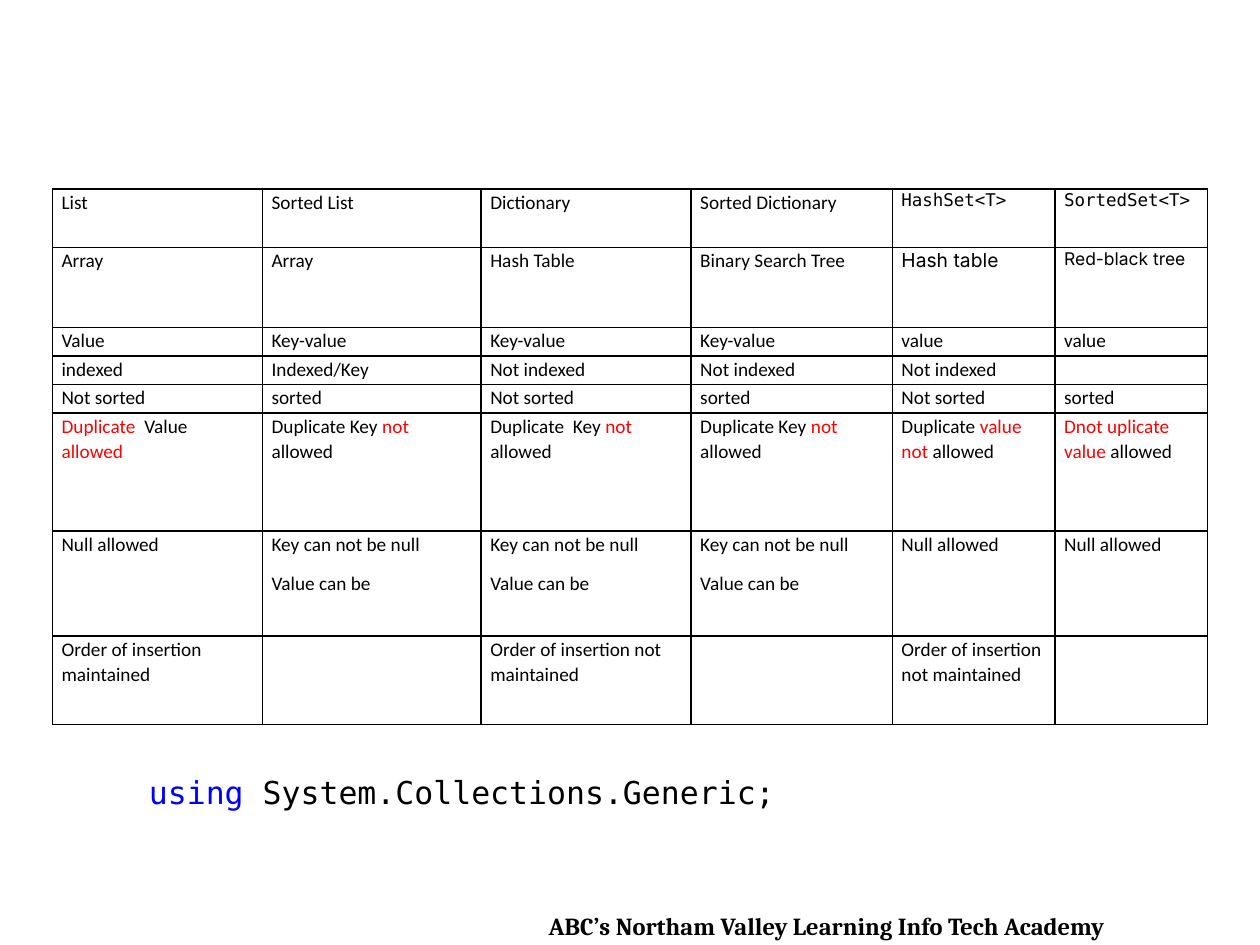
"""Build a slide that compares the generic collection types in a table."""
from lxml.etree import SubElement
from pptx import Presentation
from pptx.dml.color import RGBColor
from pptx.enum.text import PP_ALIGN
from pptx.oxml.ns import qn
from pptx.util import Pt


def add_span(para, text, font="Calibri", size=11, color="000000", bold=False):
    span = para.add_run()
    span.text = text
    span.font.name = font
    span.font.size = Pt(size)
    span.font.bold = bold
    span.font.color.rgb = RGBColor.from_string(color)


def add_border(cell, side):
    line = SubElement(cell._tc.get_or_add_tcPr(), qn(f"a:{side}"), w=str(Pt(1)))
    SubElement(SubElement(line, qn("a:solidFill")), qn("a:srgbClr"), val="000000")


MONO = "DejaVu Sans Mono"
COLUMN_WIDTHS = [120, 125, 120, 115, 93, 87]
ROW_HEIGHTS = [33.5, 45.7, 16.3, 16.3, 16.3, 67.5, 60, 50.5]
KEY_NULLS = "Key can not be null\nValue can be"
SPECIAL_FONTS = {
    (0, 4): {"font": MONO, "size": 10},
    (0, 5): {"font": MONO, "size": 10},
    (1, 4): {"font": "Inter"},
    (1, 5): {"font": "Inter", "size": 10},
}
# Text between bars is red.
ROWS = [
    ["List", "Sorted List", "Dictionary", "Sorted Dictionary", "HashSet<T>", "SortedSet<T>"],
    ["Array", "Array", "Hash Table", "Binary Search Tree", "Hash table", "Red-black tree"],
    ["Value", "Key-value", "Key-value", "Key-value", "value", "value"],
    ["indexed", "Indexed/Key", "Not indexed", "Not indexed", "Not indexed", ""],
    ["Not sorted", "sorted", "Not sorted", "sorted", "Not sorted", "sorted"],
    ["|Duplicate | Value |allowed|", "Duplicate Key |not |allowed",
     "Duplicate  Key |not| allowed", "Duplicate Key| not| allowed",
     "Duplicate |value not| allowed", "|Dnot uplicate value |allowed"],
    ["Null allowed", KEY_NULLS, KEY_NULLS, KEY_NULLS, "Null allowed", "Null allowed"],
    ["Order of insertion maintained", "", "Order of insertion not maintained", "",
     "Order of insertion not maintained", ""],
]

deck = Presentation()
deck.slide_width, deck.slide_height = Pt(720), Pt(540)
page = deck.slides.add_slide(deck.slide_layouts[6])

footer = page.shapes.add_textbox(Pt(-6), Pt(517), Pt(960), Pt(24.5)).text_frame
footer.word_wrap = True
footer.paragraphs[0].alignment = PP_ALIGN.CENTER
add_span(footer.paragraphs[0], "ABC’s Northam Valley Learning Info Tech Academy ",
         font="Cambria", size=14, bold=True)

table = page.shapes.add_table(len(ROWS), len(COLUMN_WIDTHS), Pt(30), Pt(108),
                              Pt(sum(COLUMN_WIDTHS)), Pt(sum(ROW_HEIGHTS))).table
table.first_row = table.horz_banding = False
for column, width in zip(table.columns, COLUMN_WIDTHS):
    column.width = Pt(width)
for row, height in zip(table.rows, ROW_HEIGHTS):
    row.height = Pt(height)

for row_index, texts in enumerate(ROWS):
    for column_index, text in enumerate(texts):
        cell = table.cell(row_index, column_index)
        cell.margin_left = cell.margin_right = Pt(5.2)
        cell.margin_top = cell.margin_bottom = 0
        for side in ("lnL", "lnR", "lnT", "lnB"):
            add_border(cell, side)
        cell.fill.solid()
        cell.fill.fore_color.rgb = RGBColor.from_string("FFFFFF")
        style = SPECIAL_FONTS.get((row_index, column_index), {})
        for index, line in enumerate(text.split("\n")):
            frame = cell.text_frame
            para = frame.add_paragraph() if index else frame.paragraphs[0]
            para.line_spacing = 1.07
            para.space_after = Pt(8)
            for part_index, part in enumerate(line.split("|")):
                if part:
                    color = "FF0000" if part_index % 2 else "000000"
                    add_span(para, part, color=color, **style)
            if not line:
                SubElement(para._p, qn("a:endParaRPr"), sz="1100")

code = page.shapes.add_textbox(Pt(78), Pt(438), Pt(582), Pt(29)).text_frame
code.word_wrap = True
add_span(code.paragraphs[0], "using", font=MONO, size=18, color="0000FF")
add_span(code.paragraphs[0], " System.Collections.Generic;", font=MONO, size=18)

deck.save("out.pptx")
